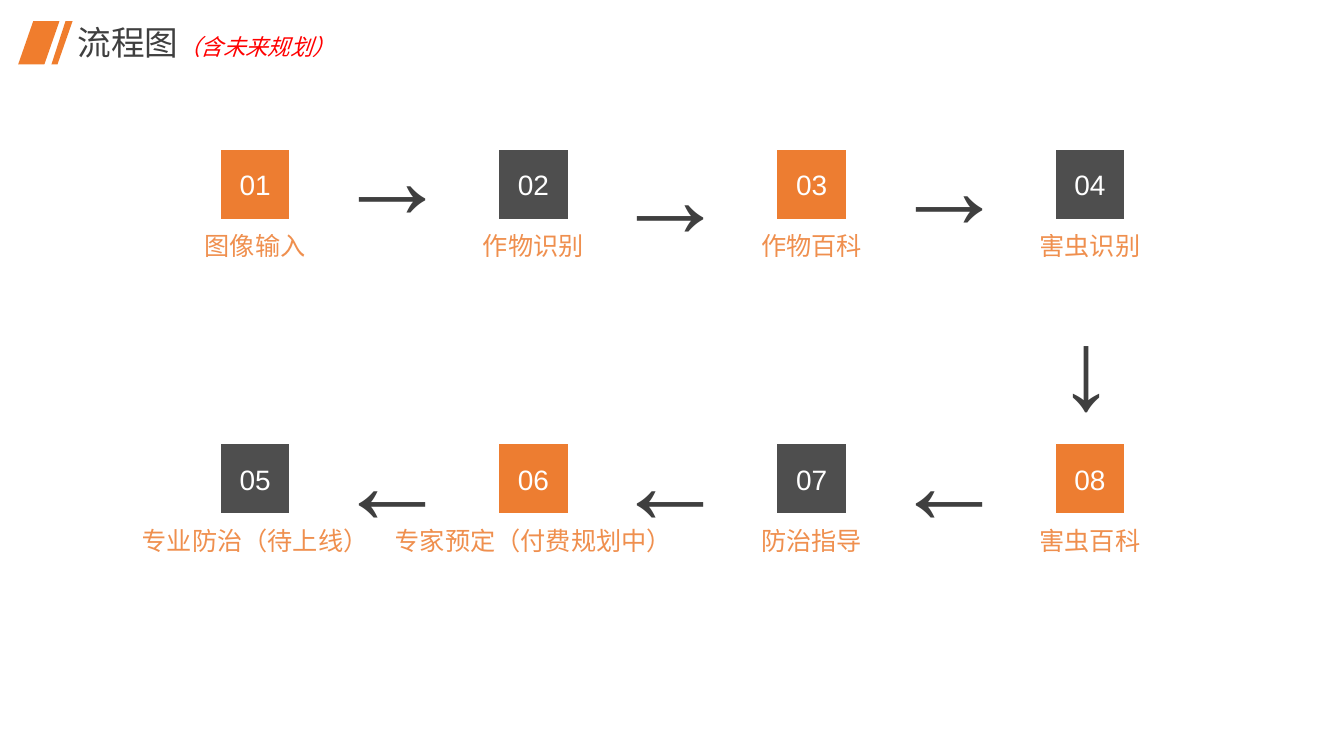
from dataclasses import dataclass

from pptx import Presentation
from pptx.dml.color import RGBColor
from pptx.enum.shapes import MSO_SHAPE
from pptx.enum.text import MSO_ANCHOR, MSO_AUTO_SIZE, PP_ALIGN
from pptx.oxml.ns import qn
from pptx.util import Inches, Pt
from lxml.etree import SubElement


@dataclass(frozen=True)
class Theme:
    font: str = "Arial"
    stripe: str = "F07D2D"
    orange: str = "ED7D31"
    gray: str = "4E4E4E"
    dark: str = "3F3F3F"
    red: str = "FF0000"
    white: str = "FFFFFF"
    title_size: int = 24
    note_size: int = 16
    number_size: int = 20
    label_size: int = 18
    arrow_size: int = 80
    border_width: int = 10
    label_opacity: int = 85


THEME = Theme()

FIRST_CENTER, COLUMN_STEP = 2.53, 2.76
SQUARE_SIDE = 0.82
ROW_TOPS = (1.42, 4.34)
STEPS = (
    (("01", "图像输入"), ("02", "作物识别"), ("03", "作物百科"), ("04", "害虫识别")),
    (("05", "专业防治（待上线）"), ("06", "专家预定（付费规划中）"),
     ("07", "防治指导"), ("08", "害虫百科")),
)
ARROW_LEFT, ARROW_WIDTH = 3.24, 1.33
FORWARD_TOPS = (1.01, 1.2, 1.11)
BACKWARD_TOP = 4.03
STRIPES = (
    ((0.33, 0.21), (0.59, 0.21), (0.44, 0.64), (0.18, 0.64)),
    ((0.65, 0.21), (0.72, 0.21), (0.57, 0.64), (0.51, 0.64)),
)


def add_run(paragraph, text, size, color, **formats):
    """Append a run in the theme font, for Latin and East Asian text alike."""
    run = paragraph.add_run()
    run.text = text
    values = {"name": THEME.font, "size": Pt(size), **formats}
    for attribute, value in values.items():
        setattr(run.font, attribute, value)
    run.font.color.rgb = RGBColor.from_string(color)
    east_asian = SubElement(run.font._element, qn("a:ea"))
    east_asian.set("typeface", THEME.font)
    return run


def set_opacity(run, percent):
    color = run.font._element.find(qn("a:solidFill"))[0]
    SubElement(color, qn("a:alpha")).set("val", str(percent * 1000))


def add_stripe(slide, corners):
    points = [(Inches(x), Inches(y)) for x, y in corners]
    builder = slide.shapes.build_freeform(*points[0])
    builder.add_line_segments(points[1:], close=True)
    stripe = builder.convert_to_shape()
    stripe.shadow.inherit = False
    stripe.fill.solid()
    stripe.fill.fore_color.rgb = RGBColor.from_string(THEME.stripe)
    stripe.line.fill.background()


def add_title(slide, heading, note):
    title = slide.shapes.title
    place = {"left": 0.67, "top": 0.17, "width": 3.83, "height": 0.5}
    for attribute, length in place.items():
        setattr(title, attribute, Inches(length))
    frame = title.text_frame
    frame.vertical_anchor = MSO_ANCHOR.MIDDLE
    frame.word_wrap = True
    frame.auto_size = MSO_AUTO_SIZE.SHAPE_TO_FIT_TEXT
    paragraph = frame.paragraphs[0]
    paragraph.alignment = PP_ALIGN.LEFT
    add_run(paragraph, heading, THEME.title_size, THEME.dark)
    add_run(paragraph, note, THEME.note_size, THEME.red, italic=True)


def add_text(slide, text, place, size, color, align, wrap):
    box = slide.shapes.add_textbox(*(Inches(length) for length in place))
    frame = box.text_frame
    frame.word_wrap = wrap
    frame.auto_size = MSO_AUTO_SIZE.SHAPE_TO_FIT_TEXT
    paragraph = frame.paragraphs[0]
    paragraph.alignment = align
    return add_run(paragraph, text, size, color)


def add_step(slide, number, label, center, top, color):
    """Add a numbered square with its label centred below it."""
    side = Inches(SQUARE_SIDE)
    square = slide.shapes.add_shape(
        MSO_SHAPE.RECTANGLE, Inches(center - SQUARE_SIDE / 2), Inches(top), side, side)
    square.shadow.inherit = False
    square.fill.solid()
    square.fill.fore_color.rgb = RGBColor.from_string(color)
    square.line.color.rgb = RGBColor.from_string(THEME.white)
    square.line.width = Pt(THEME.border_width)
    square.text_frame.vertical_anchor = MSO_ANCHOR.MIDDLE
    paragraph = square.text_frame.paragraphs[0]
    paragraph.alignment = PP_ALIGN.CENTER
    add_run(paragraph, number, THEME.number_size, THEME.white)

    width = 0.2 + 0.25 * len(label)
    place = (center - width / 2, top + SQUARE_SIDE, width, 0.4)
    caption = add_text(slide, label, place, THEME.label_size, THEME.orange,
                       PP_ALIGN.CENTER, False)
    set_opacity(caption, THEME.label_opacity)


def add_arrow(slide, symbol, left, top, width=ARROW_WIDTH):
    add_text(slide, symbol, (left, top, width, 1.45), THEME.arrow_size, THEME.dark,
             PP_ALIGN.LEFT, True)


def main():
    presentation = Presentation()
    presentation.slide_width = Inches(13.33)
    presentation.slide_height = Inches(7.5)
    slide = presentation.slides.add_slide(presentation.slide_layouts[5])

    for corners in STRIPES:
        add_stripe(slide, corners)
    add_title(slide, "流程图", "（含未来规划）")

    square_colors = (THEME.orange, THEME.gray)
    for row, (top, steps) in enumerate(zip(ROW_TOPS, STEPS)):
        for column, (number, label) in enumerate(steps):
            center = FIRST_CENTER + column * COLUMN_STEP
            add_step(slide, number, label, center, top, square_colors[(row + column) % 2])

    for gap, forward_top in enumerate(FORWARD_TOPS):
        left = ARROW_LEFT + gap * COLUMN_STEP
        add_arrow(slide, "→", left, forward_top)
        add_arrow(slide, "←", left, BACKWARD_TOP)
    add_arrow(slide, "↓", 10.4, 2.9, width=0.83)

    presentation.save("out.pptx")


if __name__ == "__main__":
    main()
